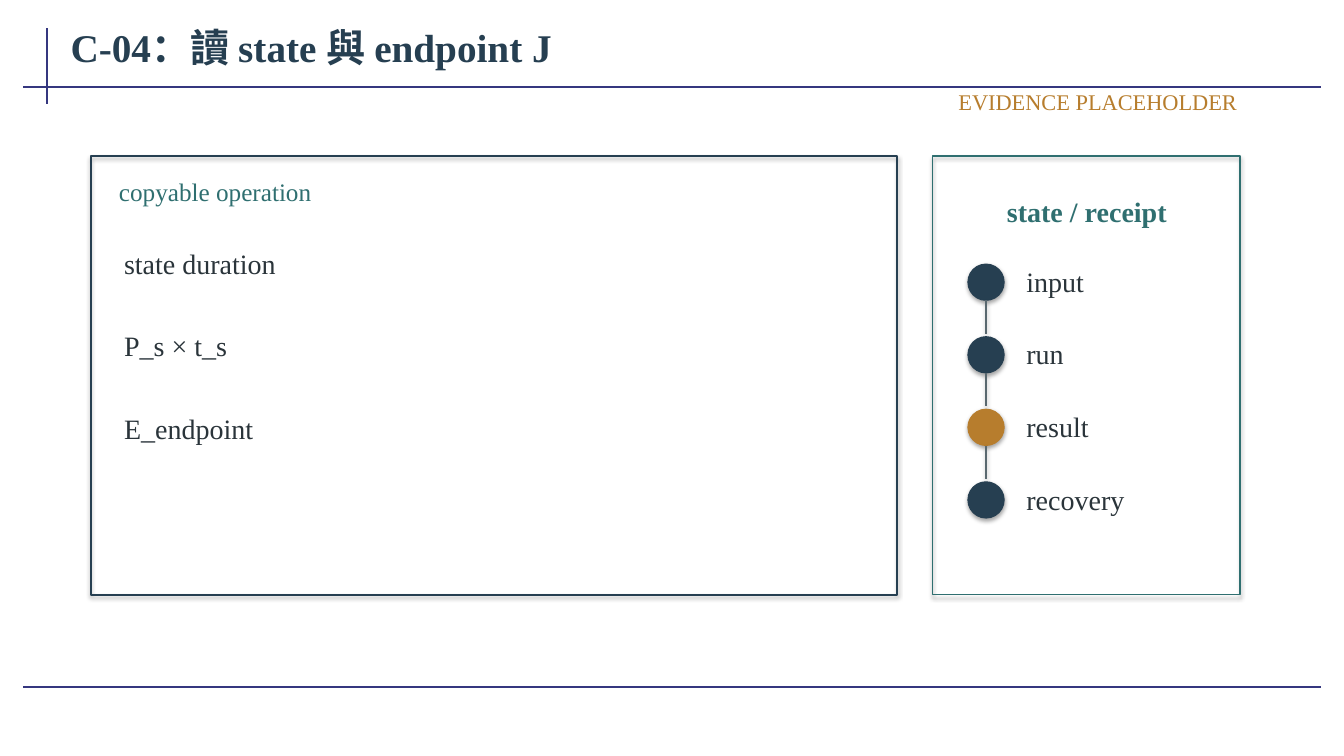
from pptx import Presentation
from pptx.dml.color import RGBColor
from pptx.enum.shapes import MSO_CONNECTOR, MSO_SHAPE
from pptx.enum.text import MSO_ANCHOR, PP_ALIGN
from pptx.oxml.ns import qn
from pptx.util import Inches, Pt
from lxml.etree import SubElement

COLORS = {
    "rule": "35377F",
    "navy": "263F51",
    "teal": "2F6F70",
    "ink": "2A343A",
    "gray": "59686F",
    "amber": "B77D2D",
}


class SlideBuilder:
    font = "Times New Roman"

    def __init__(self, slide):
        self.s = slide

    def color(self, name):
        return RGBColor.from_string(COLORS[name])

    def shadow(self, effects, dist, alpha):
        shadow = SubElement(effects, qn("a:outerShdw"), blurRad=str(Pt(3.1)),
                            dist=str(Pt(dist)), dir="5400000", rotWithShape="0")
        black = SubElement(shadow, qn("a:srgbClr"), val="000000")
        SubElement(black, qn("a:alpha"), val=str(alpha * 1000))

    def text(self, x, y, w, h, text, size, color, bold=False, align=PP_ALIGN.LEFT):
        tf = self.s.shapes.add_textbox(Inches(x), Inches(y), Inches(w), Inches(h)).text_frame
        tf.word_wrap = True
        tf.vertical_anchor = MSO_ANCHOR.MIDDLE
        tf.margin_left = tf.margin_right = Inches(0.08)
        tf.margin_top = tf.margin_bottom = Inches(0.04)
        p = tf.paragraphs[0]
        p.text = text
        p.alignment = align
        p.font.name = self.font
        p.font.size = Pt(size)
        p.font.bold = bold
        p.font.color.rgb = self.color(color)

    def shape(self, kind, x, y, w, h, line, width, fill=None):
        sp = self.s.shapes.add_shape(kind, Inches(x), Inches(y), Inches(w), Inches(h))
        if fill:
            sp.fill.solid()
            sp.fill.fore_color.rgb = self.color(fill)
        else:
            sp.fill.background()
        sp.line.color.rgb = self.color(line)
        sp.line.width = Pt(width)
        sp.shadow.inherit = False
        self.shadow(sp._element.spPr.find(qn("a:effectLst")), 1.8, 35)

    def line(self, x1, y1, x2, y2, color, width, shadow=False):
        c = self.s.shapes.add_connector(MSO_CONNECTOR.STRAIGHT, Inches(x1), Inches(y1),
                                        Inches(x2), Inches(y2))
        c.line.color.rgb = self.color(color)
        c.line.width = Pt(width)
        effects = SubElement(c._element.spPr, qn("a:effectLst"))
        if shadow:
            self.shadow(effects, 1.6, 38)


def main():
    prs = Presentation()
    prs.slide_width, prs.slide_height = Inches(13.33), Inches(7.5)
    b = SlideBuilder(prs.slides.add_slide(prs.slide_layouts[6]))

    # Frame rules and title
    b.line(0.47, 0.28, 0.47, 1.03, "rule", 1.5)
    for y in (0.86, 6.82):
        b.line(0.23, y, 13.1, y, "rule", 1.5)
    b.text(0.62, 0.15, 12.49, 0.62, "C-04：讀 state 與 endpoint J", 28, "navy", bold=True)

    # Operation panel
    b.shape(MSO_SHAPE.RECTANGLE, 0.9, 1.55, 8, 4.35, "navy", 1.4)
    b.text(1.1, 1.72, 7.6, 0.35, "copyable operation", 18, "teal")
    for i, operation in enumerate(("state duration", "P_s × t_s", "E_endpoint")):
        b.text(1.15, 2.25 + 0.82 * i, 7.35, 0.72, operation, 20, "ink")

    # State panel with its chain of steps
    b.shape(MSO_SHAPE.RECTANGLE, 9.25, 1.55, 3.05, 4.35, "teal", 1.1)
    b.text(9.48, 1.82, 2.6, 0.55, "state / receipt", 20, "teal", bold=True,
           align=PP_ALIGN.CENTER)
    steps = ("input", "run", "result", "recovery")
    dot, pitch = 0.36, 0.72
    for i, step in enumerate(steps):
        y = 2.62 + pitch * i
        color = "amber" if step == "result" else "navy"
        b.shape(MSO_SHAPE.OVAL, 9.6, y, dot, dot, color, 0.75, fill=color)
        b.text(10.1, y - 0.03, 1.85, 0.4, step, 20, "ink")
        if i < len(steps) - 1:
            b.line(9.78, y + dot, 9.78, y + pitch - 0.03, "gray", 0.9, shadow=True)

    # Evidence label
    b.text(9.15, 0.86, 3.2, 0.3, "EVIDENCE PLACEHOLDER", 16, "amber", align=PP_ALIGN.RIGHT)

    prs.save("out.pptx")


if __name__ == "__main__":
    main()
